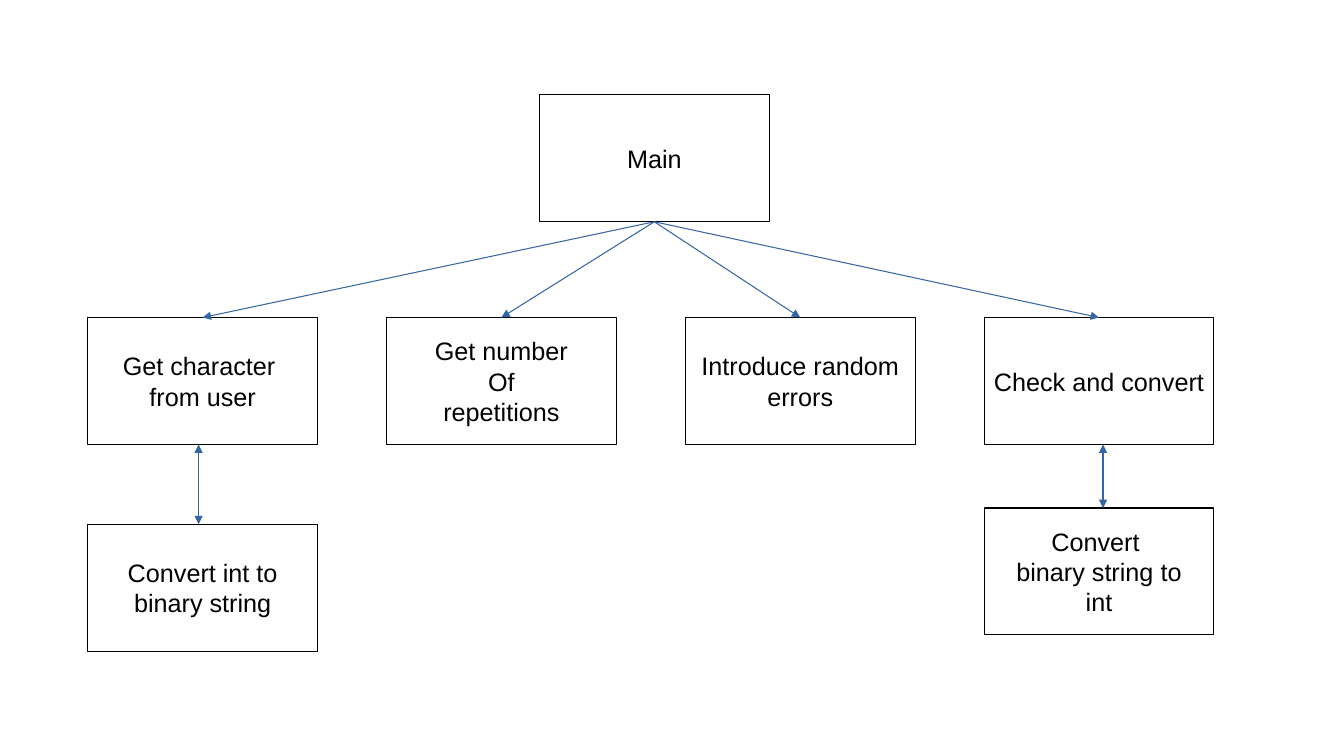
import pptx
import pptx.util
import pptx.dml.color
import pptx.enum.shapes
import pptx.enum.text
from dataclasses import dataclass
from lxml import etree
from pptx.oxml.ns import qn

Inches = pptx.util.Inches
Color = pptx.dml.color.RGBColor.from_string


@dataclass(frozen=True)
class Theme:
    """Colours, type and line sizes of the chart."""
    ink: pptx.dml.color.RGBColor = Color("000000")
    paper: pptx.dml.color.RGBColor = Color("FFFFFF")
    arrow: pptx.dml.color.RGBColor = Color("3465A4")
    font: str = "Arial"
    size: float = 18
    line: float = 0.75


THEME = Theme()
WIDE, HIGH = 2.28, 1.26
STEPS = [
    ["Get character ", "from user"],
    ["Get number", "Of", "repetitions"],
    ["Introduce random", "errors"],
    ["Check and convert"],
]
HELPERS = [
    (0, 2.05, -0.04, ["Convert int to", "binary string"]),
    (3, 1.89, 0.04, ["Convert ", "binary string to", "int"]),
]


def add_box(slide, left, top, lines):
    """Draw one module box with a paragraph per line."""
    box = slide.shapes.add_shape(
        pptx.enum.shapes.MSO_SHAPE.RECTANGLE,
        Inches(left), Inches(top), Inches(WIDE), Inches(HIGH))
    box.shadow.inherit = False
    box.fill.solid()
    box.fill.fore_color.rgb = THEME.paper
    box.line.color.rgb = THEME.ink
    box.line.width = pptx.util.Pt(THEME.line)
    frame = box.text_frame
    frame.word_wrap = False
    frame.vertical_anchor = pptx.enum.text.MSO_ANCHOR.MIDDLE
    frame.text = "\n".join(lines)
    for para in frame.paragraphs:
        para.alignment = pptx.enum.text.PP_ALIGN.CENTER
        para.font.name = THEME.font
        para.font.size = pptx.util.Pt(THEME.size)
        para.font.color.rgb = THEME.ink
    return box


def add_arrow(slide, start, end, ends=("tailEnd",)):
    """Draw a straight arrow between two points."""
    arrow = slide.shapes.add_connector(
        pptx.enum.shapes.MSO_CONNECTOR.STRAIGHT, *start, *end)
    arrow.line.color.rgb = THEME.arrow
    arrow.line.width = pptx.util.Pt(THEME.line)
    props = arrow.line._get_or_add_ln()
    for tip in ends:
        etree.SubElement(props, qn(f"a:{tip}"), type="triangle")
    etree.SubElement(arrow._element.spPr, qn("a:effectLst"))
    return arrow


def add_row(slide, main, left, top, width):
    """Spread the steps evenly over the width and join them to main."""
    pitch = (width - WIDE) / (len(STEPS) - 1)
    boxes = []
    for index, lines in enumerate(STEPS):
        box = add_box(slide, left + index * pitch, top, lines)
        arrow = add_arrow(slide, (0, 0), (0, 0))
        arrow.begin_connect(main, 2)
        arrow.end_connect(box, 0)
        boxes.append(box)
    return boxes


def add_helper(slide, step, drop, shift, lines):
    """Hang a helper box below a step with a two-way arrow."""
    top = step.top.inches + drop
    box = add_box(slide, step.left.inches, top, lines)
    x = step.left + step.width // 2 + Inches(shift)
    add_arrow(slide, (x, step.top + step.height), (x, box.top),
              ("headEnd", "tailEnd"))


def add_chart(slide, left, top, width):
    """Place main, its steps and their helpers in the given area."""
    main = add_box(slide, left + 4.48, top, ["Main"])
    steps = add_row(slide, main, left, top + 2.21, width)
    for index, drop, shift, lines in HELPERS:
        add_helper(slide, steps[index], drop, shift, lines)


def main():
    """Build and save the slide."""
    deck = pptx.Presentation()
    deck.slide_width = Inches(13.33)
    deck.slide_height = Inches(7.5)
    slide = deck.slides.add_slide(deck.slide_layouts[6])
    add_chart(slide, 0.87, 0.94, 11.17)
    deck.save("out.pptx")


if __name__ == "__main__":
    main()
